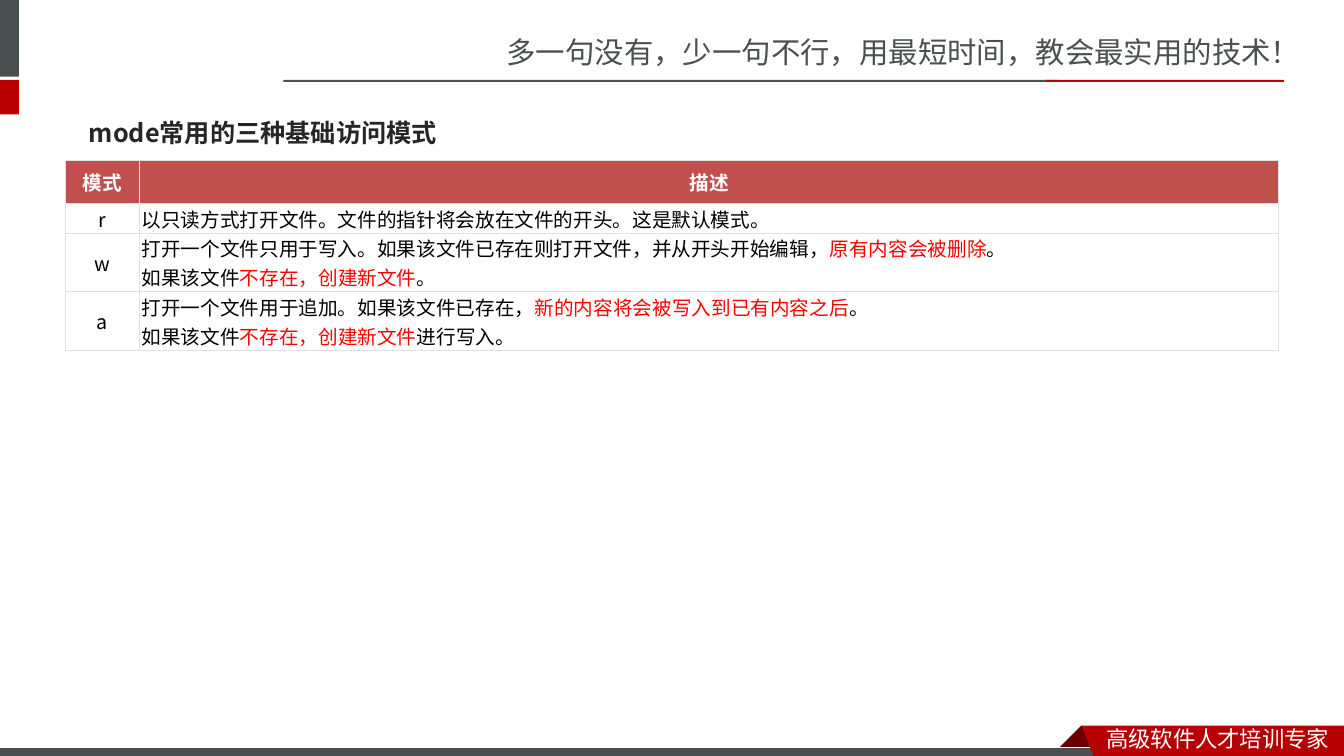
"""Builds the slide on the three basic file access modes."""
from dataclasses import dataclass

from lxml import etree
from pptx import Presentation, util as u
from pptx.dml.color import RGBColor
from pptx.enum import shapes, text
from pptx.oxml.ns import qn

PX = 9525
HEADER = ["模式", "描述"]
MODES = [
    ("r", ["以只读方式打开文件。文件的指针将会放在文件的开头。这是默认模式。"]),
    ("w", ["打开一个文件只用于写入。如果该文件已存在则打开文件，并从开头开始编辑，|原有内容会被删除|。",
           "如果该文件|不存在，创建新文件|。"]),
    ("a", ["打开一个文件用于追加。如果该文件已存在，|新的内容将会被写入到已有内容之后|。",
           "如果该文件|不存在，创建新文件|进行写入。"]),
]


@dataclass(frozen=True)
class Theme:
    """Colours, fonts and type sizes of the slide."""
    grey: str = "49504F"
    red: str = "B60004"
    fold: str = "680000"
    white: str = "FFFFFF"
    black: str = "000000"
    heading: str = "262626"
    table_head: str = "C0504D"
    border: str = "DFE2E5"
    accent: str = "FF0000"
    brand_font: str = "Noto Sans CJK SC"
    body_font: str = "Noto Sans CJK JP"
    slogan_size: int = 21
    ribbon_size: int = 16
    heading_size: int = 18
    table_size: int = 14


T = Theme()


def px(*lengths):
    """Turn pixel lengths into EMU."""
    return [n * PX for n in lengths]


def assign(obj, values):
    """Set attributes from a dict of format values."""
    for name, value in values.items():
        setattr(obj, name, value)


def add_run(p, words, size, color, font, bold=False):
    """Add a formatted run to a paragraph."""
    r = p.add_run()
    r.text = words
    assign(r.font, {"size": u.Pt(size), "bold": bold, "name": font})
    r.font.color.rgb = RGBColor.from_string(color)
    etree.SubElement(r.font._element, qn("a:ea"), typeface=font)


def paint(sp, color, line=None):
    """Give a shape a flat fill and an optional thin outline."""
    sp.shadow.inherit = False
    sp.fill.solid()
    sp.fill.fore_color.rgb = RGBColor.from_string(color)
    if line:
        sp.line.color.rgb = RGBColor.from_string(line)
        sp.line.width = u.Pt(0.75)
    else:
        sp.line.fill.background()


def add_bar(s, box, color, line=None):
    """Add a filled rectangle."""
    paint(s.shapes.add_shape(shapes.MSO_SHAPE.RECTANGLE, *px(*box)), color, line)


def add_outline(s, points, color):
    """Add a filled closed polygon."""
    builder = s.shapes.build_freeform(*points[0], scale=PX)
    builder.add_line_segments(points[1:], close=True)
    paint(builder.convert_to_shape(), color)


def add_label(s, box, words, size, color):
    """Add a text box with one line of brand text."""
    tf = s.shapes.add_textbox(*px(*box)).text_frame
    tf.word_wrap = True
    add_run(tf.paragraphs[0], words, size, color, T.brand_font)


def add_banner(s, x, y, w, h):
    """Place the corner blocks, slogan and two-tone rule."""
    block_h, gap, split = 73, 3, x + 996
    rule_y, rule_x, rule_end = y + block_h + gap, x + 270, x + w - 57
    add_bar(s, (x - 6, y, 24, block_h), T.grey)
    add_bar(s, (x - 6, rule_y, 24, h - block_h - gap), T.red)
    add_bar(s, (rule_x, rule_y, split + 11 - rule_x, 2), T.grey)
    add_bar(s, (split, rule_y, rule_end - split, 2), T.red)
    add_label(s, (x + 473, y + 28, w - 473, 45),
              "多一句没有，少一句不行，用最短时间，教会最实用的技术！", T.slogan_size, T.grey)


def add_footer(s, x, y, w, h):
    """Place the bottom bar and the folded ribbon with its text."""
    right, bottom, left = x + w, y + h, x + 1030
    base = y + 22
    add_outline(s, [(left, y), (left + 21, base - 1), (left + 20, base),
                    (left - 20, base), (left - 21, base - 1)], T.fold)
    add_bar(s, (x - 1, y + 21, 1056, 12), T.grey, T.white)
    add_outline(s, [(left, y), (right, y), (right, bottom), (left + 13, bottom)], T.red)
    add_label(s, (left + 14, y - 5, right - left - 14, 36),
              "高级软件人才培训专家", T.ribbon_size, T.white)


def add_heading(s, *box):
    """Fill the title placeholder with the heading."""
    sp = s.shapes.title
    assign(sp, dict(zip(("left", "top", "width", "height"), px(*box))))
    tf = sp.text_frame
    assign(tf, {"vertical_anchor": text.MSO_ANCHOR.MIDDLE, "word_wrap": True,
                "auto_size": text.MSO_AUTO_SIZE.NONE})
    p = tf.paragraphs[0]
    p.alignment = text.PP_ALIGN.LEFT
    add_run(p, "mode常用的三种基础访问模式", T.heading_size, T.heading, T.body_font, True)


def format_cell(cell, fill):
    """Set the margins, borders and fill of a table cell."""
    assign(cell, {"margin_left": u.Inches(0.02), "margin_right": u.Inches(0.02),
                  "margin_top": u.Inches(0.01), "margin_bottom": u.Inches(0.01),
                  "vertical_anchor": text.MSO_ANCHOR.MIDDLE})
    tc_pr = cell._tc.get_or_add_tcPr()
    for side in ("a:lnL", "a:lnR", "a:lnT", "a:lnB"):
        ln = etree.SubElement(tc_pr, qn(side), w=str(u.Pt(0.6)))
        solid = etree.SubElement(ln, qn("a:solidFill"))
        etree.SubElement(solid, qn("a:srgbClr"), val=T.border)
    cell.fill.solid()
    cell.fill.fore_color.rgb = RGBColor.from_string(fill)


def fill_cell(cell, lines, header, centered):
    """Write lines into a cell, with the parts between bars in the accent colour."""
    format_cell(cell, T.table_head if header else T.white)
    tf = cell.text_frame
    base = T.white if header else T.black
    for i, line in enumerate(lines):
        p = tf.add_paragraph() if i else tf.paragraphs[0]
        p.alignment = text.PP_ALIGN.CENTER if centered else text.PP_ALIGN.LEFT
        for k, words in enumerate(line.split("|")):
            add_run(p, words, T.table_size, T.accent if k % 2 else base, T.body_font, header)


def add_mode_table(s, x, y, w):
    """Place the table of access modes, each row as tall as its lines need."""
    header_h, line_h, key_w = 41, 28, 71
    heights = [header_h] + [line_h * len(lines) for _, lines in MODES]
    rows = [HEADER, *MODES]
    frame = s.shapes.add_table(len(rows), 2, *px(x, y, w, sum(heights)))
    table = frame.table
    assign(table, {"first_row": False, "horz_banding": False})
    for column, width in zip(table.columns, px(key_w, w - key_w)):
        column.width = width
    for i, (row, height) in enumerate(zip(rows, px(*heights))):
        table.rows[i].height = height
        for j, content in enumerate(row):
            lines = [content] if isinstance(content, str) else content
            fill_cell(table.cell(i, j), lines, i == 0, i == 0 or j == 0)


def main():
    """Build and save the slide."""
    prs = Presentation()
    prs.slide_width, prs.slide_height = px(1280, 720)
    s = prs.slides.add_slide(prs.slide_layouts[5])
    add_banner(s, 0, 0, 1280, 109)
    add_footer(s, 0, 691, 1280, 33)
    add_heading(s, 75, 99, 1129, 55)
    add_mode_table(s, 62, 153, 1156)
    prs.save("out.pptx")


if __name__ == "__main__":
    main()
